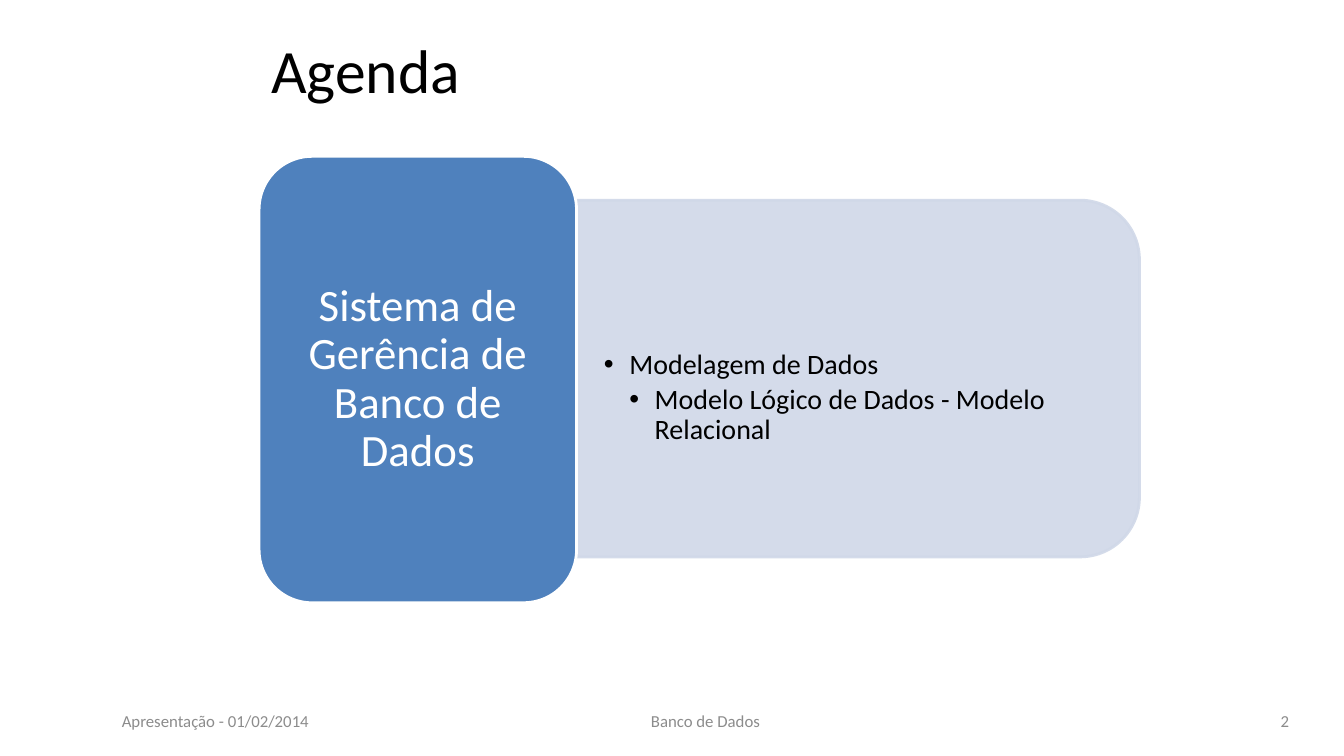
from dataclasses import dataclass

import pptx
import pptx.dml.color
import pptx.enum.shapes
import pptx.enum.text
import pptx.oxml
import pptx.oxml.ns
import pptx.util

Cm = pptx.util.Cm
Pt = pptx.util.Pt
Align = pptx.enum.text.PP_ALIGN
Shape = pptx.enum.shapes.MSO_SHAPE


@dataclass(frozen=True)
class Theme:
    font: str = "Calibri"
    black: str = "000000"
    white: str = "FFFFFF"
    gray: str = "8C8C8C"
    blue: str = "4F81BD"
    pale: str = "D0D8E8"
    title_size: int = 44
    topic_size: int = 32
    item_size: int = 20
    footer_size: int = 12


@dataclass(frozen=True)
class Area:
    left: float
    top: float
    width: float
    height: float

    def lengths(self) -> tuple:
        return tuple(Cm(n) for n in (self.left, self.top, self.width, self.height))


@dataclass(frozen=True)
class Footer:
    text: str
    left: float
    width: float
    align: Align


@dataclass(frozen=True)
class Item:
    text: str
    level: int


THEME = Theme()
FOOTERS = (
    Footer("Apresentação - 01/02/2014", 2.82, 7.9, Align.LEFT),
    Footer("Banco de Dados", 12.42, 10.72, Align.CENTER),
    Footer("2", 24.84, 7.9, Align.RIGHT),
)
ITEMS = (
    Item("Modelagem de Dados", 1),
    Item("Modelo Lógico de Dados - Modelo Relacional", 2),
)


def rgb(color: str):
    return pptx.dml.color.RGBColor.from_string(color)


def add_span(para, text: str, size: int, color: str) -> None:
    span = para.add_run()
    span.text = text
    span.font.name = THEME.font
    span.font.size = Pt(size)
    span.font.color.rgb = rgb(color)


def set_frame(frame, side: float = 0.25, end: float = 0.13) -> None:
    frame.word_wrap = True
    frame.auto_size = pptx.enum.text.MSO_AUTO_SIZE.NONE
    frame.vertical_anchor = pptx.enum.text.MSO_ANCHOR.MIDDLE
    frame.margin_left = frame.margin_right = Cm(side)
    frame.margin_top = frame.margin_bottom = Cm(end)


def add_block(page, kind, area: Area, fill: str, line: str):
    block = page.shapes.add_shape(kind, *area.lengths())
    block.shadow.inherit = False
    block.fill.solid()
    block.fill.fore_color.rgb = rgb(fill)
    block.line.color.rgb = rgb(line)
    block.line.width = Pt(2)
    return block


def set_opacity(block, percent: int) -> None:
    for color in block._element.spPr.iter(pptx.oxml.ns.qn("a:srgbClr")):
        alpha = pptx.oxml.parse_xml(f'<a:alpha {pptx.oxml.ns.nsdecls("a")} val="{percent * 1000}"/>')
        color.append(alpha)


def add_bullet(para, level: int) -> None:
    indent = Cm(0.64)
    props = para._p.get_or_add_pPr()
    props.set("marL", str(indent * level))
    props.set("indent", str(-indent))
    names = pptx.oxml.ns.nsdecls("a")
    props.append(pptx.oxml.parse_xml(f'<a:buFont {names} typeface="Arial"/>'))
    props.append(pptx.oxml.parse_xml(f'<a:buChar {names} char="•"/>'))


def add_items(page, area: Area, items: tuple[Item, ...]) -> None:
    frame = page.shapes.add_textbox(*area.lengths()).text_frame
    set_frame(frame, 0.69, 0.36)
    for index, item in enumerate(items):
        para = frame.add_paragraph() if index else frame.paragraphs[0]
        para.line_spacing = 0.9
        para.space_after = Pt(3)
        add_bullet(para, item.level)
        add_span(para, item.text, THEME.item_size, THEME.black)


def add_footer(page, footer: Footer) -> None:
    area = Area(footer.left, 17.65, footer.width, 1.02)
    frame = page.shapes.add_textbox(*area.lengths()).text_frame
    set_frame(frame)
    para = frame.paragraphs[0]
    para.alignment = footer.align
    add_span(para, footer.text, THEME.footer_size, THEME.gray)


deck = pptx.Presentation()
deck.slide_width, deck.slide_height = Cm(33.87), Cm(19.05)
page = deck.slides.add_slide(deck.slide_layouts[5])

# Title
title = page.shapes.title
title.left, title.top, title.width, title.height = Area(6.58, 0.15, 22.43, 3.18).lengths()
set_frame(title.text_frame)
title_para = title.text_frame.paragraphs[0]
title_para.alignment = Align.LEFT
add_span(title_para, "Agenda", THEME.title_size, THEME.black)

# Pale panel, turned so that its round corners face right
panel = add_block(page, Shape.ROUND_2_SAME_RECTANGLE, Area(17.12, 2.44, 8.99, 14.2), THEME.pale, THEME.pale)
panel.rotation = 90
set_opacity(panel, 90)
add_items(page, Area(14.53, 5.97, 13.77, 8.13), ITEMS)

# Blue topic block
topic = add_block(page, Shape.ROUNDED_RECTANGLE, Area(6.53, 3.94, 8, 11.25), THEME.blue, THEME.white)
set_frame(topic.text_frame, 0.33, 0.18)
topic_para = topic.text_frame.paragraphs[0]
topic_para.alignment = Align.CENTER
topic_para.line_spacing = 0.9
add_span(topic_para, "Sistema de Gerência de Banco de Dados", THEME.topic_size, THEME.white)

# Footer row
for footer in FOOTERS:
    add_footer(page, footer)

deck.save("out.pptx")
